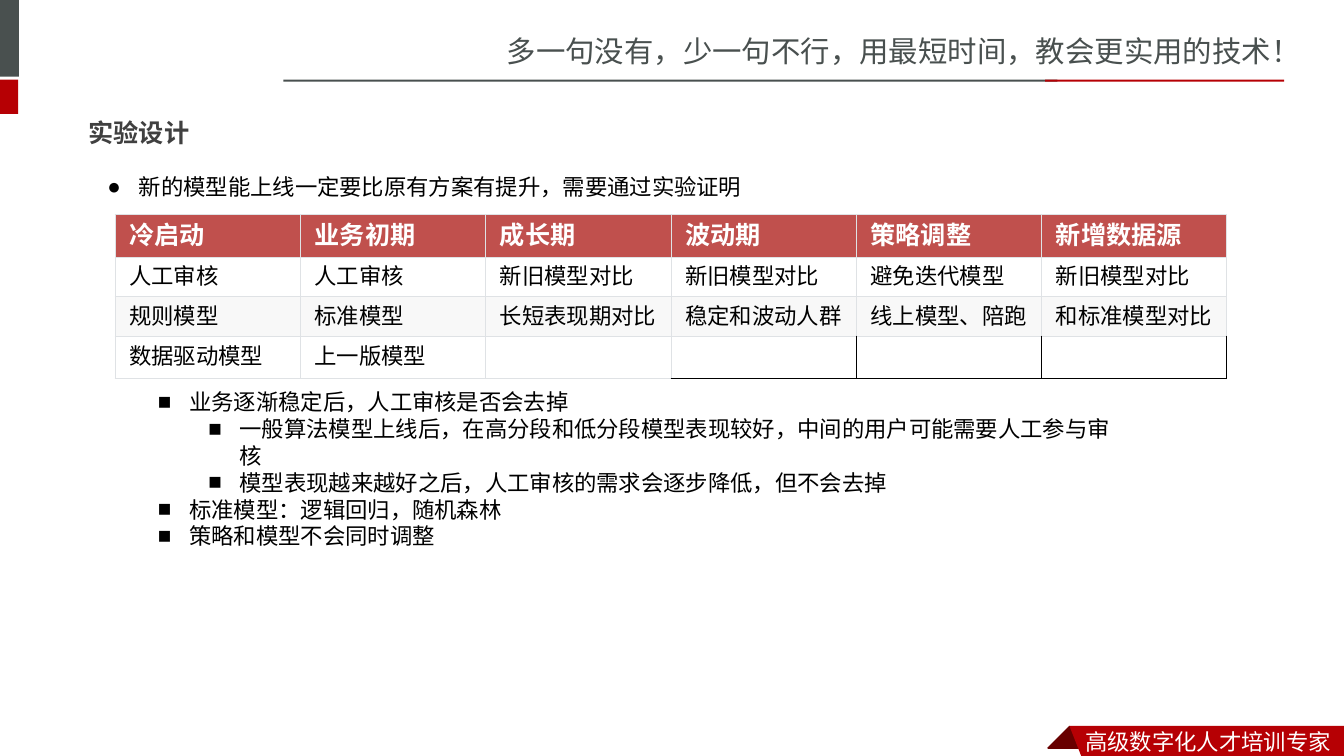
from dataclasses import dataclass
from typing import Any

import lxml.etree
import pptx
import pptx.dml.color
import pptx.enum.shapes
import pptx.enum.text
import pptx.oxml.ns
import pptx.util

Cm = pptx.util.Cm
Pt = pptx.util.Pt
qn = pptx.oxml.ns.qn


@dataclass(frozen=True)
class Theme:
    slate: str = "49504F"
    red: str = "B60004"
    dark: str = "680000"
    head: str = "C0504D"
    band: str = "F8F8F8"
    grid: str = "DFE2E5"
    gray: str = "404040"
    black: str = "000000"
    white: str = "FFFFFF"
    sans: str = "Arial"
    noto: str = "Noto Sans CJK SC"
    bold: str = "Noto Sans CJK JP"
    motto: float = 21
    title: float = 18
    body: float = 16


T = Theme()


@dataclass(frozen=True)
class Box:
    left: float
    top: float
    width: float
    height: float


@dataclass(frozen=True)
class Bar:
    box: Box
    fill: str


@dataclass(frozen=True)
class Patch:
    points: tuple[tuple[float, float], ...]
    fill: str


@dataclass(frozen=True)
class Label:
    box: Box
    text: str
    size: float
    color: str
    font: str
    bold: bool = False


@dataclass(frozen=True)
class Point:
    text: str
    level: int
    mark: str = "■"
    before: float = 0


BARS = [
    Bar(Box(-0.15, 0, 0.63, 1.93), T.slate),
    Bar(Box(-0.15, 2.01, 0.61, 0.86), T.red),
    Bar(Box(7.14, 2.01, 19.51, 0.05), T.slate),
    Bar(Box(26.34, 2.01, 6.02, 0.05), T.red),
]
RIBBON = [
    Patch(((26.95, 18.29), (27.51, 18.85), (27.48, 18.87), (26.42, 18.87), (26.39, 18.85)), T.dark),
    Patch(((26.95, 18.29), (33.87, 18.29), (33.87, 19.15), (27.28, 19.13)), T.red),
]
LABELS = [
    Label(Box(12.52, 0.71, 21.36, 1.14), "多一句没有，少一句不行，用最短时间，教会更实用的技术！", T.motto, T.slate, T.noto),
    Label(Box(27.1, 18.21, 6.76, 0.94), "高级数字化人才培训专家", T.body, T.white, T.noto),
    Label(Box(1.98, 2.62, 29.87, 1.45), "实验设计", T.title, T.gray, T.bold, True),
]
POINTS = [
    Point("新的模型能上线一定要比原有方案有提升，需要通过实验证明", 0, "●"),
    Point("业务逐渐稳定后，人工审核是否会去掉", 1, before=134.4),
    Point("一般算法模型上线后，在高分段和低分段模型表现较好，中间的用户可能需要人工参与审核", 2),
    Point("模型表现越来越好之后，人工审核的需求会逐步降低，但不会去掉", 2),
    Point("标准模型：逻辑回归，随机森林", 1),
    Point("策略和模型不会同时调整", 1),
]
ROWS = [
    ["冷启动", "业务初期", "成长期", "波动期", "策略调整", "新增数据源"],
    ["人工审核", "人工审核", "新旧模型对比", "新旧模型对比", "避免迭代模型", "新旧模型对比"],
    ["规则模型", "标准模型", "长短表现期对比", "稳定和波动人群", "线上模型、陪跑", "和标准模型对比"],
    ["数据驱动模型", "上一版模型", "", "", "", ""],
]


def tint(code: str) -> Any:
    return pptx.dml.color.RGBColor.from_string(code)


def place(box: Box) -> tuple[int, int, int, int]:
    return Cm(box.left), Cm(box.top), Cm(box.width), Cm(box.height)


def write(para: Any, text: str, *, size: float, color: str = T.black,
          font: str = T.sans, bold: bool = False) -> None:
    run = para.add_run()
    run.text = text
    run.font.size = Pt(size)
    run.font.bold = bold
    run.font.color.rgb = tint(color)
    run.font.name = font
    east = lxml.etree.SubElement(run.font._element, qn("a:ea"))
    east.set("typeface", font)


def paint(shape: Any, fill: str) -> None:
    shape.shadow.inherit = False
    shape.fill.solid()
    shape.fill.fore_color.rgb = tint(fill)
    shape.line.fill.background()


def add_bar(slide: Any, bar: Bar) -> None:
    kind = pptx.enum.shapes.MSO_SHAPE.RECTANGLE
    paint(slide.shapes.add_shape(kind, *place(bar.box)), bar.fill)


def add_patch(slide: Any, patch: Patch) -> None:
    first, *rest = [(Cm(x), Cm(y)) for x, y in patch.points]
    pen = slide.shapes.build_freeform(*first)
    pen.add_line_segments(rest, close=True)
    paint(pen.convert_to_shape(), patch.fill)


def add_frame(slide: Any, box: Box) -> Any:
    frame = slide.shapes.add_textbox(*place(box)).text_frame
    frame.word_wrap = True
    return frame


def add_label(slide: Any, label: Label) -> None:
    frame = add_frame(slide, label.box)
    frame.vertical_anchor = pptx.enum.text.MSO_ANCHOR.MIDDLE
    write(frame.paragraphs[0], label.text, size=label.size, color=label.color,
          font=label.font, bold=label.bold)


def add_points(slide: Any) -> None:
    frame = add_frame(slide, Box(2.46, 4.24, 26.31, 9.14))
    for i, point in enumerate(POINTS):
        para = frame.add_paragraph() if i else frame.paragraphs[0]
        para.level = point.level
        props = para._p.get_or_add_pPr()
        props.set("marL", str(Cm(0.79 + 1.27 * point.level)))
        props.set("indent", str(-Cm(0.79)))
        face = lxml.etree.SubElement(props, qn("a:buFont"))
        face.set("typeface", T.sans)
        mark = lxml.etree.SubElement(props, qn("a:buChar"))
        mark.set("char", point.mark)
        para.line_spacing = Pt(19.2)
        if point.before:
            para.space_before = Pt(point.before)
        write(para, point.text, size=T.body)


def add_edge(cell: Any, side: str, color: str) -> None:
    line = lxml.etree.SubElement(cell._tc.get_or_add_tcPr(), qn(f"a:ln{side}"))
    line.set("w", str(Pt(0.75)))
    fill = lxml.etree.SubElement(line, qn("a:solidFill"))
    lxml.etree.SubElement(fill, qn("a:srgbClr")).set("val", color)


def edge_color(row: int, col: int, side: str) -> str:
    if row < len(ROWS) - 1 or side == "T":
        return T.grid
    first = {"L": 4, "R": 3, "B": 3}[side]
    return T.black if col >= first else T.grid


def add_grid(slide: Any) -> None:
    count = len(ROWS[0])
    box = Box(2.9, 5.41, 4.67 * count, 4.05)
    table = slide.shapes.add_table(len(ROWS), count, *place(box)).table
    table.first_row = table.horz_banding = False
    for col in table.columns:
        col.width = Cm(4.67)
    for r, texts in enumerate(ROWS):
        table.rows[r].height = Cm(0.99 if r else 1.08)
        for c, text in enumerate(texts):
            cell = table.cell(r, c)
            cell.vertical_anchor = pptx.enum.text.MSO_ANCHOR.MIDDLE
            cell.margin_left = cell.margin_right = Cm(0.36)
            cell.margin_top = cell.margin_bottom = Cm(0.15)
            for side in "LRTB":
                add_edge(cell, side, edge_color(r, c, side))
            fill = {0: T.head, 2: T.band}.get(r, T.white)
            cell.fill.solid()
            cell.fill.fore_color.rgb = tint(fill)
            write(cell.text_frame.paragraphs[0], text, size=T.body if r else T.title,
                  color=T.black if r else T.white, bold=r == 0)


def main() -> None:
    deck = pptx.Presentation()
    deck.slide_width, deck.slide_height = Cm(33.87), Cm(19.05)
    slide = deck.slides.add_slide(deck.slide_layouts[6])
    for bar in BARS:
        add_bar(slide, bar)
    for patch in RIBBON:
        add_patch(slide, patch)
    for label in LABELS:
        add_label(slide, label)
    add_points(slide)
    add_grid(slide)
    deck.save("out.pptx")


if __name__ == "__main__":
    main()
